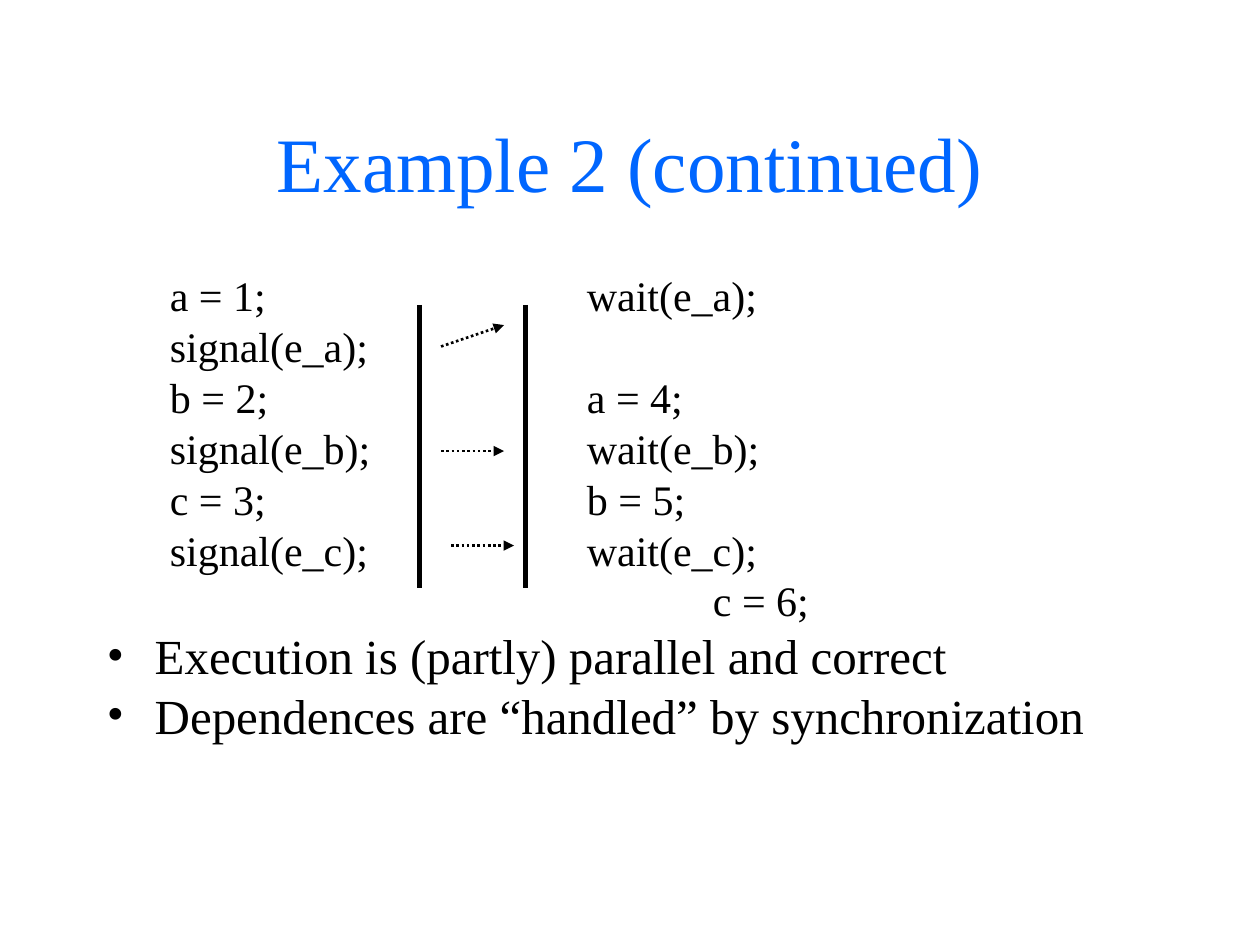
from dataclasses import dataclass

from pptx import Presentation
from pptx import util as u
from pptx.dml.color import RGBColor
from pptx.enum import dml, shapes, text
from pptx.oxml import ns, xmlchemy as xc


@dataclass(frozen=True)
class Theme:
    """Colours, font and type sizes of the slide."""
    ink: RGBColor = RGBColor(0, 0, 0)
    blue: RGBColor = RGBColor(0, 0x66, 0xFF)
    font: str = "Times New Roman"
    title: int = 44
    code: int = 24
    point: int = 28
    pitch: float = 0.8


THEME = Theme()
CODE = (
    "a = 1;\t\t\twait(e_a);",
    "signal(e_a);",
    "b = 2;\t\t\ta = 4;",
    "signal(e_b);\t\twait(e_b);",
    "c = 3;\t\t\tb = 5;",
    "signal(e_c);\t\twait(e_c);",
    "\t\t\t\t\tc = 6;",
)
POINTS = (
    "Execution is (partly) parallel and correct",
    "Dependences are “handled” by synchronization",
)


def add_node(parent, tag, **attrs):
    """Append a drawing element with its attributes."""
    node = xc.OxmlElement(tag)
    for name, value in attrs.items():
        node.set(name, str(value))
    parent.append(node)
    return node


def add_box(slide, left, top, width, height):
    """Add a wrapping text box and return its frame."""
    box = slide.shapes.add_textbox(*map(u.Inches, (left, top, width, height)))
    box.text_frame.word_wrap = True
    return box.text_frame


def style(para, size, color):
    """Set the font of every run in a paragraph."""
    for run in para.runs:
        run.font.name = THEME.font
        run.font.size = u.Pt(size)
        run.font.color.rgb = color


def indent(para, left, first, tabs, bullet=False):
    """Set indents, an optional bullet and tab stops at whole inches."""
    props = para._p.get_or_add_pPr()
    props.set("marL", str(u.Inches(left)))
    props.set("indent", str(u.Inches(first)))
    props.set("defTabSz", str(u.Inches(1)))
    if bullet:
        add_node(add_node(props, "a:buClr"), "a:srgbClr", val=THEME.ink)
        add_node(props, "a:buFont", typeface=THEME.font)
        add_node(props, "a:buChar", char="•")
    else:
        add_node(props, "a:buNone")
    stops = add_node(props, "a:tabLst")
    for pos in tabs:
        add_node(stops, "a:tab", pos=u.Inches(pos), algn="l")


def add_title(slide, words):
    """Add the centred title."""
    frame = add_box(slide, 0.75, 0.66, 8.5, 1.25)
    frame.vertical_anchor = text.MSO_ANCHOR.MIDDLE
    frame.text = words
    para = frame.paragraphs[0]
    para.alignment = text.PP_ALIGN.CENTER
    style(para, THEME.title, THEME.blue)


def add_body(slide):
    """Add the code lines followed by the bullet points."""
    frame = add_box(slide, 0.75, 2.17, 8.5, 4.5)
    frame.text = "\n".join(CODE + POINTS)
    for i, para in enumerate(frame.paragraphs):
        is_code = i < len(CODE)
        size = THEME.code if is_code else THEME.point
        para.line_spacing = THEME.pitch
        para.space_before = u.Pt(size / 4)
        style(para, size, THEME.ink)
        if is_code:
            para.level = 1
            indent(para, 0.81, -0.31, range(8))
        else:
            indent(para, 0.38, -0.38, range(1, 9), bullet=True)


def add_line(slide, start, end, width):
    """Add a straight black line without a shadow."""
    line = slide.shapes.add_connector(
        shapes.MSO_CONNECTOR.STRAIGHT, *map(u.Inches, (*start, *end)))
    line.line.color.rgb = THEME.ink
    line.line.width = u.Pt(width)
    add_node(line._element.spPr, "a:effectLst")
    return line


def add_arrow(slide, start, end):
    """Add a dotted arrow."""
    arrow = add_line(slide, start, end, 1.5)
    arrow.line.dash_style = dml.MSO_LINE.ROUND_DOT
    stroke = arrow._element.spPr.find(ns.qn("a:ln"))
    add_node(stroke, "a:tailEnd", type="triangle")


def main():
    """Build and save the slide."""
    deck = Presentation()
    deck.slide_width, deck.slide_height = u.Inches(10), u.Inches(7.5)
    slide = deck.slides.add_slide(deck.slide_layouts[6])
    add_title(slide, "Example 2 (continued)")
    add_body(slide)
    for x in (3.33, 4.17):
        add_line(slide, (x, 2.42), (x, 4.67), 3)
    for x, y, to in ((3.5, 2.75, 2.58), (3.5, 3.58, 3.58), (3.58, 4.33, 4.33)):
        add_arrow(slide, (x, y), (x + 0.5, to))
    deck.save("out.pptx")


if __name__ == "__main__":
    main()
